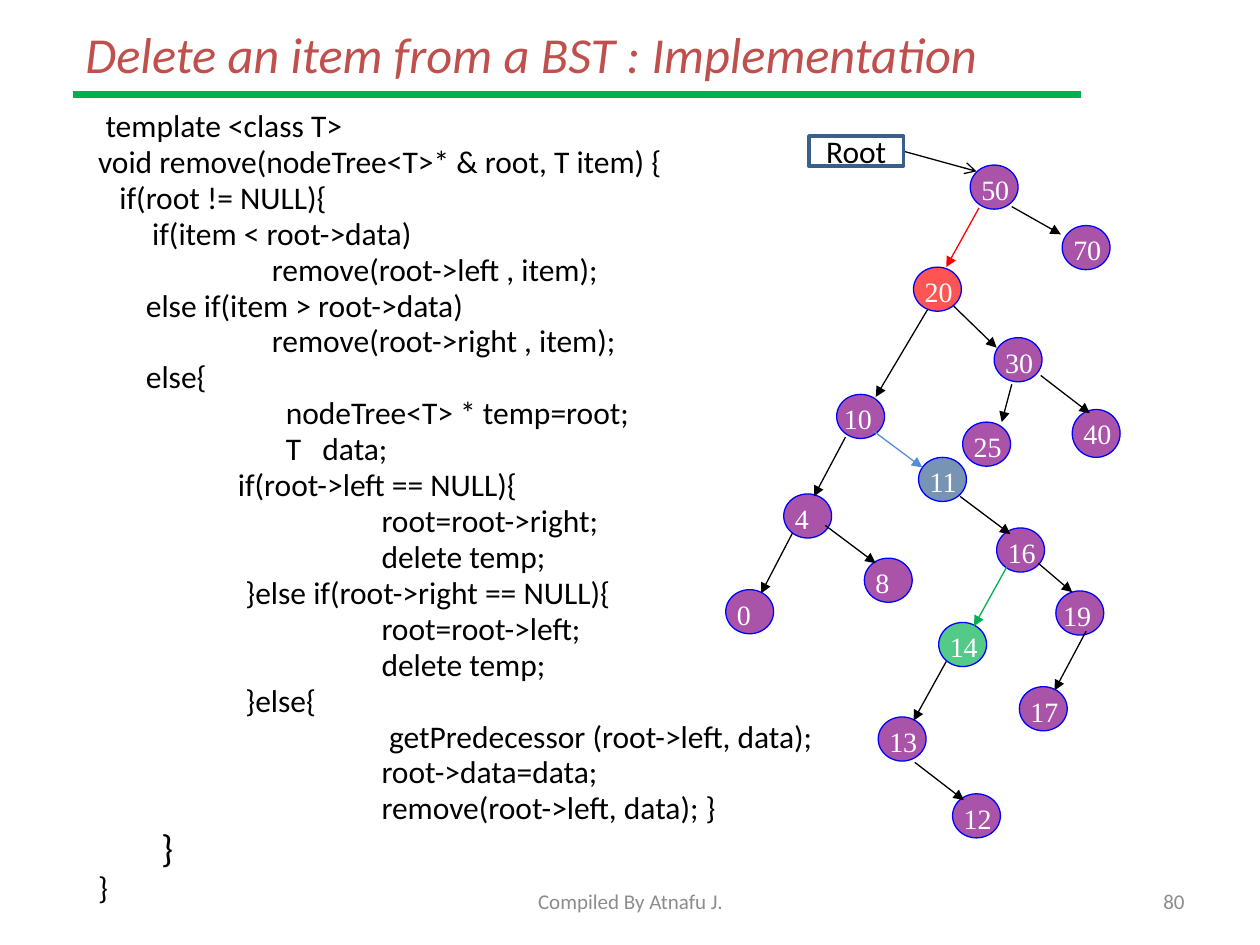
from typing import NamedTuple

from lxml.etree import SubElement
from pptx import Presentation
from pptx.dml.color import RGBColor
from pptx.enum.shapes import MSO_CONNECTOR as Connector, MSO_SHAPE as Shape
from pptx.enum.text import MSO_ANCHOR as Anchor, PP_ALIGN as Align
from pptx.oxml.ns import qn
from pptx.util import Inches, Pt

# The slide is a grid of 1000 columns by 750 rows
COLUMNS, ROWS = 1000, 750
PURPLE, RED, GREEN, STEEL = "800080", "FF0000", "00B050", "376092"
BLACK, WHITE, GREY, BLUE = "000000", "FFFFFF", "8C8C8C", "0000FF"
SANS, SERIF = "Calibri", "Times New Roman"


class Area(NamedTuple):
    column: float
    row: float
    width: float
    height: float


class Style(NamedTuple):
    size: float
    color: str
    font: str = SANS
    italic: bool = False


class Node(NamedTuple):
    value: int
    column: float
    row: float
    color: str = PURPLE
    height: float = 35
    label_shift: float = -1


class Edge(NamedTuple):
    start: tuple[float, float]
    end: tuple[float, float]
    color: str = BLACK
    head: str = "triangle"
    width: float = 0.75


class CodeLine(NamedTuple):
    indent: float
    text: str
    size: float = 18


CODE = [
    CodeLine(0.06, "template <class T>"),
    CodeLine(0, "void remove(nodeTree<T>* & root, T item) {"),
    CodeLine(0.17, "if(root != NULL){"),
    CodeLine(0.43, "if(item < root->data)"),
    CodeLine(1.38, "remove(root->left , item);"),
    CodeLine(0.38, "else if(item > root->data)"),
    CodeLine(1.38, "remove(root->right , item);"),
    CodeLine(0.38, "else{"),
    CodeLine(1.49, "nodeTree<T> * temp=root;"),
    CodeLine(1.49, "T   data;"),
    CodeLine(1.11, "if(root->left == NULL){"),
    CodeLine(2.25, "root=root->right;"),
    CodeLine(2.25, "delete temp;"),
    CodeLine(1.17, "}else if(root->right == NULL){"),
    CodeLine(2.25, "root=root->left;"),
    CodeLine(2.25, "delete temp;"),
    CodeLine(1.17, "}else{"),
    CodeLine(2.31, "getPredecessor (root->left, data);"),
    CodeLine(2.25, "root->data=data;"),
    CodeLine(2.25, "remove(root->left, data); }"),
    CodeLine(0.5, "}", 22),
    CodeLine(0, "}"),
]

NODES = [
    Node(40, 851, 325, height=38),
    Node(20, 725, 212, RED),
    Node(50, 770, 131),
    Node(10, 664, 313, label_shift=-4),
    Node(4, 622, 392),
    Node(8, 686, 443),
    Node(30, 789, 268),
    Node(0, 576, 468),
    Node(11, 729, 363, STEEL),
    Node(16, 791, 419),
    Node(14, 745, 494, GREEN),
    Node(17, 809, 545),
    Node(25, 764, 335),
    Node(70, 843, 179),
    Node(13, 697, 569),
    Node(19, 838, 469, label_shift=-4),
    Node(12, 756, 630),
]

EDGES = [
    Edge((671, 347), (646, 394)),
    Edge((736, 246), (695, 315)),
    Edge((629, 423), (604, 471)),
    Edge((757, 243), (791, 276)),
    Edge((693, 342), (732, 371), "558ED5"),
    Edge((655, 417), (695, 447)),
    Edge((799, 450), (773, 497), GREEN),
    Edge((824, 447), (851, 470)),
    Edge((762, 394), (802, 424)),
    Edge((862, 501), (837, 548)),
    Edge((826, 298), (865, 328)),
    Edge((803, 305), (795, 335)),
    Edge((803, 164), (842, 186)),
    Edge((777, 165), (751, 212), RED),
    Edge((751, 525), (725, 572)),
    Edge((726, 605), (765, 635)),
    Edge((717, 120), (775, 136), head="arrow"),
]

deck = Presentation()
deck.slide_width, deck.slide_height = Inches(10), Inches(7.5)
page = deck.slides.add_slide(deck.slide_layouts[6])


def across(columns: float) -> int:
    return round(deck.slide_width * columns / COLUMNS)


def down(rows: float) -> int:
    return round(deck.slide_height * rows / ROWS)


def place(area: Area) -> tuple[int, int, int, int]:
    return across(area.column), down(area.row), across(area.width), down(area.height)


def paint(target, color: str) -> None:
    """Give a fill a solid colour."""
    target.solid()
    target.fore_color.rgb = RGBColor.from_string(color)


def style_para(para, style: Style, align=Align.LEFT) -> None:
    para.alignment = align
    para.font.name, para.font.size = style.font, Pt(style.size)
    para.font.italic = style.italic
    paint(para.font.fill, style.color)


def add_text(text: str, area: Area, style: Style, align=Align.LEFT, anchor=Anchor.MIDDLE) -> None:
    frame = page.shapes.add_textbox(*place(area)).text_frame
    frame.word_wrap, frame.vertical_anchor = True, anchor
    frame.text = text
    style_para(frame.paragraphs[0], style, align)


def add_outline(kind: Shape, area: Area, color: str, width: float):
    shape = page.shapes.add_shape(kind, *place(area))
    shape.shadow.inherit = False
    shape.fill.background()
    paint(shape.line.fill, color)
    shape.line.width = Pt(width)
    return shape


def add_edge(edge: Edge) -> None:
    line = page.shapes.add_connector(
        Connector.STRAIGHT, across(edge.start[0]), down(edge.start[1]),
        across(edge.end[0]), down(edge.end[1]))
    paint(line.line.fill, edge.color)
    line.line.width = Pt(edge.width)
    properties = line._element.spPr
    SubElement(properties, qn("a:effectLst"))
    if edge.head:
        SubElement(properties.find(qn("a:ln")), qn("a:tailEnd"), type=edge.head)


def add_node(node: Node) -> None:
    circle = add_outline(Shape.OVAL, Area(node.column, node.row, 38, node.height), BLUE, 0.75)
    paint(circle.fill, node.color)
    color = circle._element.spPr.find(qn("a:solidFill"))[0]
    SubElement(color, qn("a:alpha"), val="67000")
    label = Area(node.column + node.label_shift, node.row + 1, 50, node.height)
    add_text(str(node.value), label, Style(16, WHITE, SERIF), anchor=Anchor.TOP)


def add_code(lines: list[CodeLine], area: Area) -> None:
    frame = page.shapes.add_textbox(*place(area)).text_frame
    frame.word_wrap = True
    for index, line in enumerate(lines):
        para = frame.add_paragraph() if index else frame.paragraphs[0]
        para.text = line.text
        style_para(para, Style(line.size, BLACK))
        para.line_spacing, para.space_before = 0.8, Pt(line.size * 0.18)
        para._p.get_or_add_pPr().set("marL", str(Inches(line.indent)))


# Title, rule and code
add_text("Delete an item from a BST : Implementation", Area(58, 17, 900, 50),
         Style(28.8, "C0504D", italic=True))
add_code(CODE, Area(68, 85, 850, 615))
add_edge(Edge((58, 75), (858, 75), GREEN, head="", width=4.25))

# Search tree
for node in NODES:
    add_node(node)
for edge in EDGES:
    add_edge(edge)

# Root pointer
root_box = add_outline(Shape.RECTANGLE, Area(642, 108, 75, 24), "3A5F8C", 2)
root_box.text_frame.text = "Root"
root_box.text_frame.vertical_anchor = Anchor.MIDDLE
style_para(root_box.text_frame.paragraphs[0], Style(18, BLACK), Align.CENTER)

# Footer
add_text("Compiled By Atnafu J.", Area(342, 695, 317, 40), Style(12, GREY), Align.CENTER)
add_text("80", Area(717, 695, 233, 40), Style(12, GREY), Align.RIGHT)

deck.save("out.pptx")
